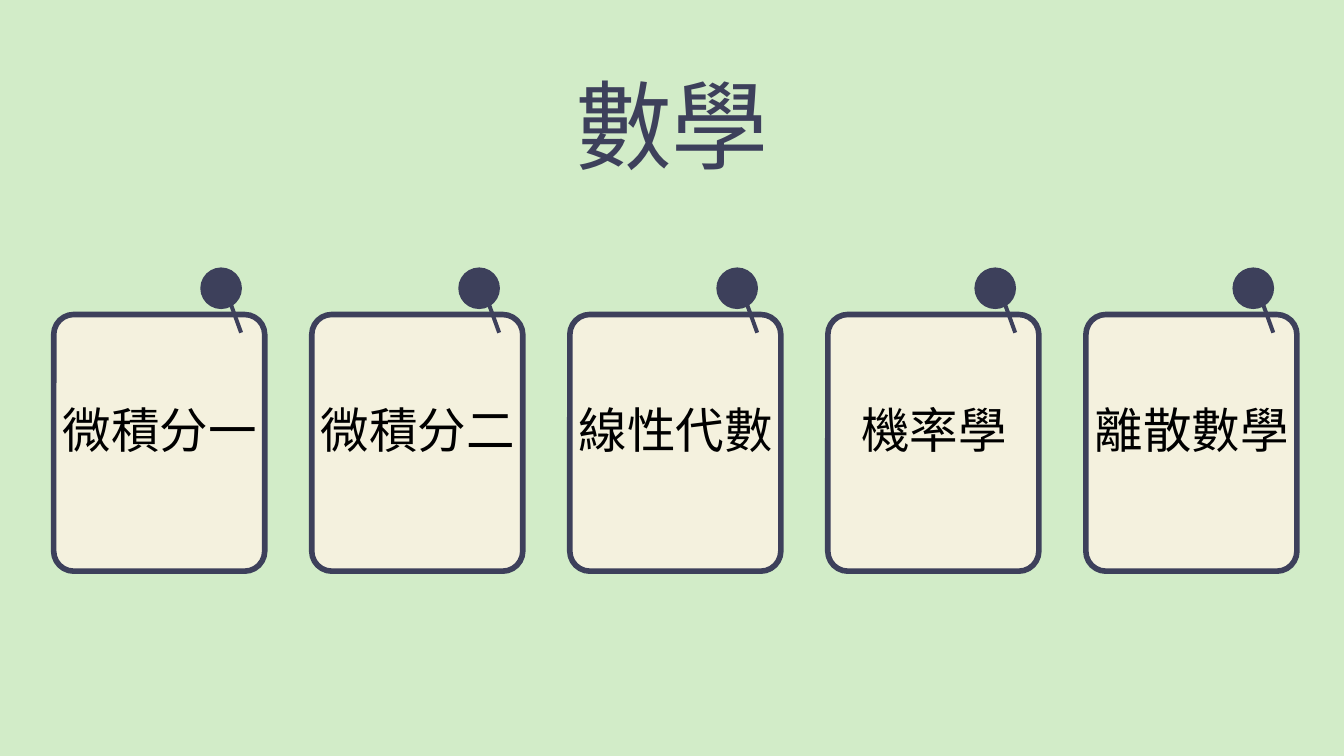
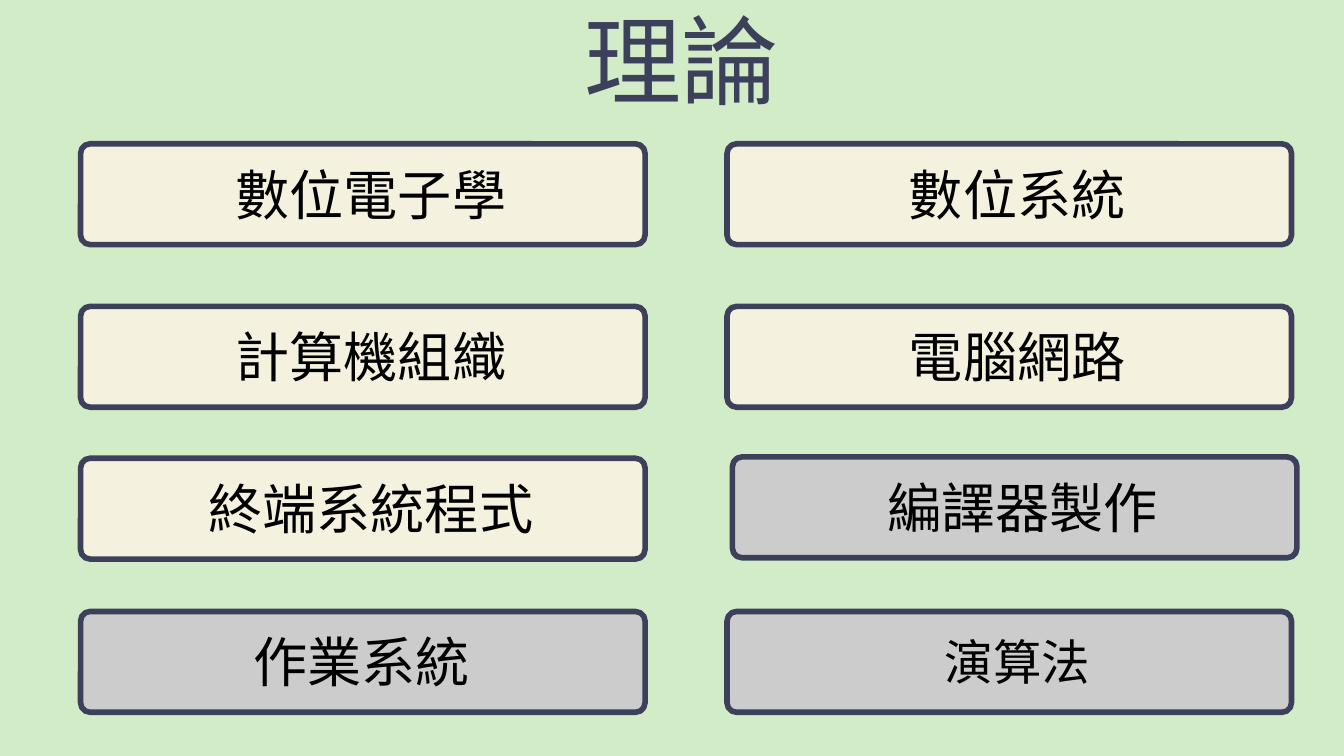
from dataclasses import dataclass
from pptx import Presentation
from pptx.dml.color import RGBColor
from pptx.enum.shapes import MSO_SHAPE
from pptx.enum.text import MSO_ANCHOR, MSO_AUTO_SIZE, PP_ALIGN
from pptx.util import Inches, Pt


@dataclass(frozen=True)
class Theme:
    background: RGBColor = RGBColor.from_string("D2ECC8")
    ink: RGBColor = RGBColor.from_string("3D405B")
    cream: RGBColor = RGBColor.from_string("F4F1DE")
    gray: RGBColor = RGBColor.from_string("CCCCCC")
    black: RGBColor = RGBColor.from_string("000000")
    font: str = "Manrope"
    title_size: int = 52
    tile_size: int = 29
    card_size: int = 26
    border: int = 3
    corner: float = 0.095


theme = Theme()
deck = Presentation()
deck.slide_width, deck.slide_height = Inches(10), Inches(5.625)
deck.slide_master.background.fill.solid()
deck.slide_master.background.fill.fore_color.rgb = theme.background
title_only = deck.slide_layouts[5]

# One square grid cell: a hundredth of the slide's width
cell = deck.slide_width / 100


def draw_shape(shapes, kind, left, top, width, height, fill, bordered=False):
    shape = shapes.add_shape(kind, *(round(n * cell) for n in (left, top, width, height)))
    shape.shadow.inherit = False
    shape.fill.solid()
    shape.fill.fore_color.rgb = fill
    if bordered:
        shape.adjustments[0] = theme.corner
        shape.line.color.rgb = theme.ink
        shape.line.width = Pt(theme.border)
    else:
        shape.line.fill.background()
    return shape


def write_text(box, left, top, width, height, text, size, color, anchor=MSO_ANCHOR.MIDDLE):
    box.left, box.top, box.width, box.height = (
        round(n * cell) for n in (left, top, width, height))
    frame = box.text_frame
    frame.word_wrap = True
    frame.auto_size = MSO_AUTO_SIZE.NONE
    frame.vertical_anchor = anchor
    frame.margin_left = frame.margin_top = frame.margin_right = frame.margin_bottom = 0
    para = frame.paragraphs[0]
    para.alignment = PP_ALIGN.CENTER
    span = para.add_run()
    span.text = text
    span.font.name = theme.font
    span.font.size = Pt(size)
    span.font.color.rgb = color


# Slides and their titles
pages = []
for heading, left, top in (("數學", 7.8, 4.9), ("理論", 8.5, 0)):
    page = deck.slides.add_slide(title_only)
    write_text(page.shapes.title, left, top, 84.4, 6.3, heading,
               theme.title_size, theme.ink, MSO_ANCHOR.TOP)
    pages.append(page)
math_page, theory_page = pages

# Mathematics: a row of pinned cards
first_card, card_pitch, card_top = 4, 19.2, 23.4
for column, course in enumerate(("微積分一", "微積分二", "線性代數", "機率學", "離散數學")):
    left = first_card + column * card_pitch
    card = math_page.shapes.add_group_shape()
    draw_shape(card.shapes, MSO_SHAPE.ROUNDED_RECTANGLE, left, card_top, 15.7, 19.1,
               theme.cream, bordered=True)
    needle = draw_shape(card.shapes, MSO_SHAPE.RECTANGLE, left + 13, card_top - 3.2,
                        0.3, 4.7, theme.ink)
    needle.rotation = 340.2
    draw_shape(card.shapes, MSO_SHAPE.OVAL, left + 10.9, card_top - 3.5, 3.1, 3.1, theme.ink)
    label = math_page.shapes.add_textbox(0, 0, 0, 0)
    write_text(label, left + 0.3, card_top + 6.5, 15.2, 4, course,
               theme.card_size, theme.black)

# Theory: two columns of tiles, each with fill, type size, tile shift and label inset
tile_columns = (6, 54.1)
tile_rows = (10.7, 22.8, 34.1, 45.5)
tiles = (
    ("數位電子學", theme.cream, theme.tile_size, 0, 1.2),
    ("數位系統", theme.cream, theme.tile_size, 0, 1.2),
    ("計算機組織", theme.cream, theme.tile_size, 0, 1.2),
    ("電腦網路", theme.cream, theme.tile_size, 0, 1.2),
    ("終端系統程式", theme.cream, theme.tile_size, 0, 1.2),
    ("編譯器製作", theme.gray, theme.tile_size, 0.4, 1.2),
    ("作業系統", theme.gray, theme.tile_size, 0, 0.5),
    ("演算法", theme.gray, theme.card_size, 0, 1.2),
)
for index, (course, fill, size, shift, inset) in enumerate(tiles):
    row, column = divmod(index, len(tile_columns))
    left, top = tile_columns[column] + shift, tile_rows[row] - shift / 4
    draw_shape(theory_page.shapes, MSO_SHAPE.ROUNDED_RECTANGLE, left, top, 42, 7.5,
               fill, bordered=True)
    label = theory_page.shapes.add_textbox(0, 0, 0, 0)
    write_text(label, left + inset, top + 1.4, 40.8, 4.6, course, size, theme.black)

deck.save("out.pptx")
